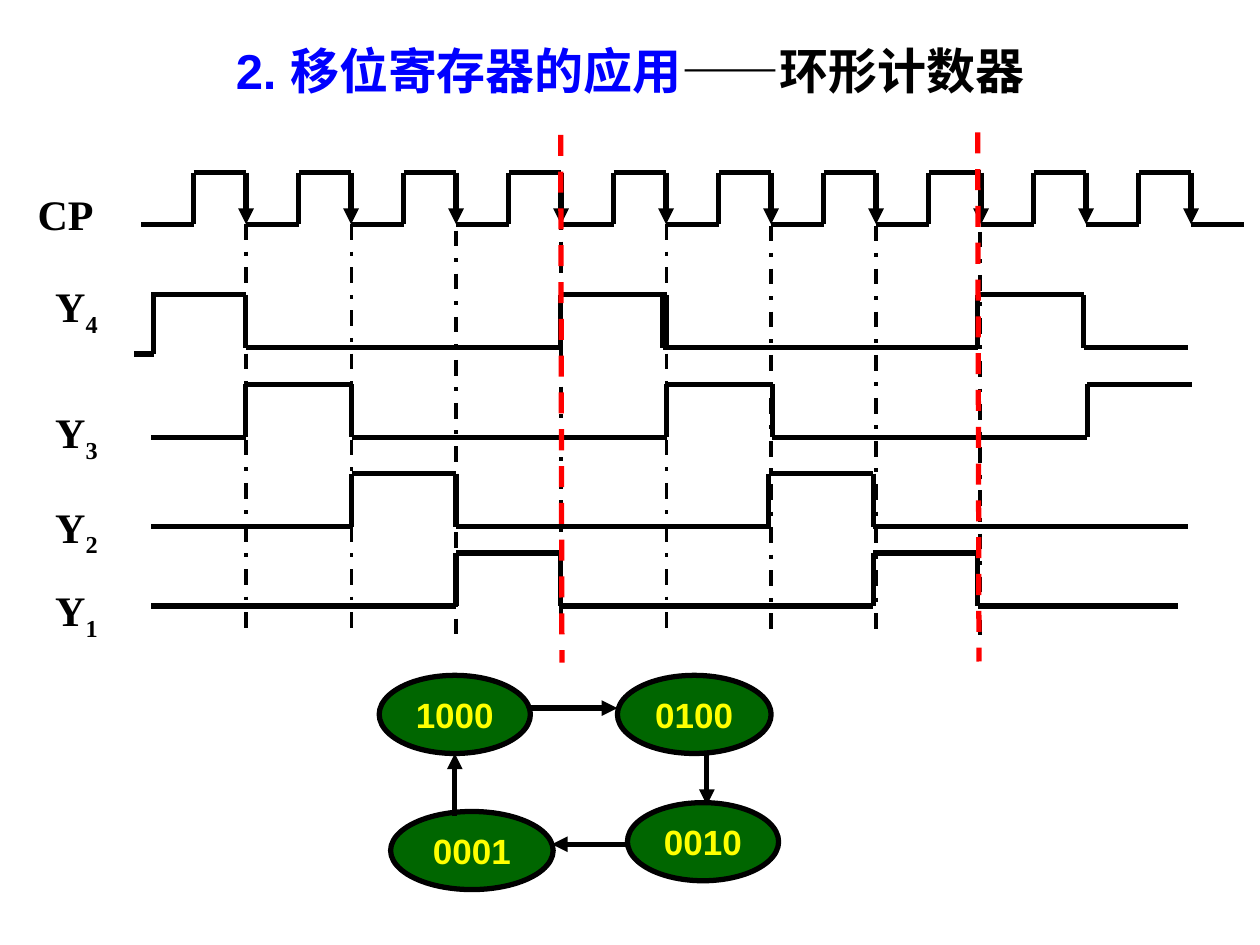
from dataclasses import dataclass

from lxml import etree
from pptx import Presentation
from pptx.dml.color import RGBColor
from pptx.enum import dml, shapes, text
from pptx.oxml.ns import qn
from pptx.util import Inches, Pt

BLACK = RGBColor(0, 0, 0)
BLUE = RGBColor(0, 0, 255)
RED = RGBColor(255, 0, 0)
GREEN = RGBColor(0, 102, 0)
YELLOW = RGBColor(255, 255, 0)

PULSES = 10
PERIOD = 0.83333
CLOCK_LEFT = 1.12
CLOCK_HIGH, CLOCK_LOW = 1.37, 1.78
SWING = 0.42


@dataclass
class Line:
    x1: float
    y1: float
    x2: float
    y2: float
    width: float = 3
    color: RGBColor = BLACK
    dash: dml.MSO_LINE | None = None
    arrow: bool = False


@dataclass
class Run:
    text: str
    size: int
    font: str
    color: RGBColor
    subscript: bool = False


@dataclass
class Output:
    index: str
    label_top: float
    high: float
    starts_high: bool
    edges: tuple[float, ...]
    repeat: float = 3.31


@dataclass
class State:
    code: str
    left: float
    top: float
    width: float


OUTPUTS = [
    Output("4", 2.18, 2.34, True, (1.2, 1.95, 4.45, 5.29, 6.12)),
    Output("3", 3.18, 3.05, False, (1.2, 1.95, 2.79, 5.29, 6.12), 3.34),
    Output("2", 3.93, 3.76, False, (1.2, 2.79, 3.62, 6.12)),
    Output("1", 4.59, 4.39, False, (1.2, 3.62, 4.45, 6.04)),
]

GUIDES = [
    (1.95, 1.78, 5.07), (2.79, 1.78, 5.07), (3.62, 1.83, 5.08), (4.45, 1.7, 4.95),
    (5.29, 1.78, 5.03), (6.12, 1.79, 5.08), (6.95, 1.79, 5.08), (7.78, 1.84, 5.09),
]

STATES = [
    State("1000", 3.01, 5.36, 1.2),
    State("0100", 4.9, 5.36, 1.22),
    State("0010", 4.98, 6.37, 1.2),
    State("0001", 3.1, 6.44, 1.29),
]

TRANSITIONS = [
    (4.21, 5.62, 4.9, 5.62),
    (5.61, 5.96, 5.61, 6.39),
    (4.98, 6.7, 4.38, 6.7),
    (3.61, 6.48, 3.61, 5.98),
]

CYCLE_MARKS = [(4.45, 1.07, 4.46, 5.26), (7.76, 1.05, 7.77, 5.25)]


def draw_line(s, line: Line) -> None:
    sp = s.shapes.add_connector(
        shapes.MSO_CONNECTOR.STRAIGHT,
        Inches(line.x1), Inches(line.y1), Inches(line.x2), Inches(line.y2),
    )
    sp.line.color.rgb = line.color
    sp.line.width = Pt(line.width)
    if line.dash is not None:
        sp.line.dash_style = line.dash
    if line.arrow:
        etree.SubElement(sp.line._get_or_add_ln(), qn("a:tailEnd"), type="triangle")
    etree.SubElement(sp._element.spPr, qn("a:effectLst"))


def write(tf, runs: list[Run], align: text.PP_ALIGN) -> None:
    p = tf.paragraphs[0]
    p.alignment = align
    for run in runs:
        r = p.add_run()
        r.text = run.text
        formats = {"size": Pt(run.size), "name": run.font, "bold": True}
        for key, value in formats.items():
            setattr(r.font, key, value)
        r.font.color.rgb = run.color
        if run.subscript:
            r._r.get_or_add_rPr().set("baseline", "-25000")


def draw_text(s, left: float, top: float, width: float, height: float,
              runs: list[Run], align: text.PP_ALIGN = text.PP_ALIGN.LEFT) -> None:
    sp = s.shapes.add_textbox(Inches(left), Inches(top), Inches(width), Inches(height))
    sp.text_frame.word_wrap = True
    write(sp.text_frame, runs, align)


def draw_clock(s) -> None:
    for i in range(PULSES):
        start = CLOCK_LEFT + i * PERIOD
        rise, fall = start + PERIOD / 2, start + PERIOD
        draw_line(s, Line(start, CLOCK_LOW, rise, CLOCK_LOW))
        draw_line(s, Line(rise, CLOCK_HIGH, rise, CLOCK_LOW))
        draw_line(s, Line(rise, CLOCK_HIGH, fall, CLOCK_HIGH))
        draw_line(s, Line(fall, CLOCK_HIGH, fall, CLOCK_LOW, arrow=True))
    end = CLOCK_LEFT + PULSES * PERIOD
    draw_line(s, Line(end, CLOCK_LOW, end + PERIOD / 2, CLOCK_LOW))


def draw_output(s, output: Output) -> None:
    levels = (output.high, output.high + SWING)
    for shift in (0, output.repeat):
        level = 0 if output.starts_high else 1
        xs = [x + shift for x in output.edges]
        for i, (x1, x2) in enumerate(zip(xs, xs[1:])):
            if i:
                draw_line(s, Line(x1, levels[1 - level], x1, levels[level]))
            draw_line(s, Line(x1, levels[level], x2, levels[level]))
            level = 1 - level


def draw_state(s, state: State) -> None:
    sp = s.shapes.add_shape(
        shapes.MSO_SHAPE.OVAL,
        Inches(state.left), Inches(state.top), Inches(state.width), Inches(0.62),
    )
    sp.shadow.inherit = False
    sp.fill.solid()
    sp.fill.fore_color.rgb = GREEN
    sp.line.color.rgb = BLACK
    sp.line.width = Pt(3)
    tf = sp.text_frame
    tf.word_wrap = False
    tf.vertical_anchor = text.MSO_ANCHOR.MIDDLE
    write(tf, [Run(state.code, 20, "Arial", YELLOW)], text.PP_ALIGN.CENTER)


def main() -> None:
    prs = Presentation()
    prs.slide_width, prs.slide_height = Inches(10), Inches(7.5)
    s = prs.slides.add_slide(prs.slide_layouts[6])

    title = [Run("2. 移位寄存器的应用", 28, "Arial", BLUE),
             Run("——环形计数器", 28, "Arial", BLACK)]
    draw_text(s, 0, 0.27, 10, 0.57, title, text.PP_ALIGN.CENTER)

    for x, top, bottom in GUIDES:
        draw_line(s, Line(x, top, x, bottom, 2.25, dash=dml.MSO_LINE.DASH_DOT))

    draw_text(s, 0.2, 1.45, 1, 0.5, [Run("CP", 24, "Times New Roman", BLACK)])
    draw_clock(s)

    for output in OUTPUTS:
        label = [Run("Y", 24, "Times New Roman", BLACK),
                 Run(output.index, 24, "Times New Roman", BLACK, subscript=True)]
        draw_text(s, 0.34, output.label_top, 1, 0.5, label)
        draw_output(s, output)
    draw_line(s, Line(1.22, 2.33, 1.22, 2.81))
    draw_line(s, Line(1.22, 2.81, 1.06, 2.81))

    for state in STATES:
        draw_state(s, state)
    for ends in TRANSITIONS:
        draw_line(s, Line(*ends, arrow=True))
    for ends in CYCLE_MARKS:
        draw_line(s, Line(*ends, color=RED, dash=dml.MSO_LINE.DASH))

    prs.save("out.pptx")


if __name__ == "__main__":
    main()
